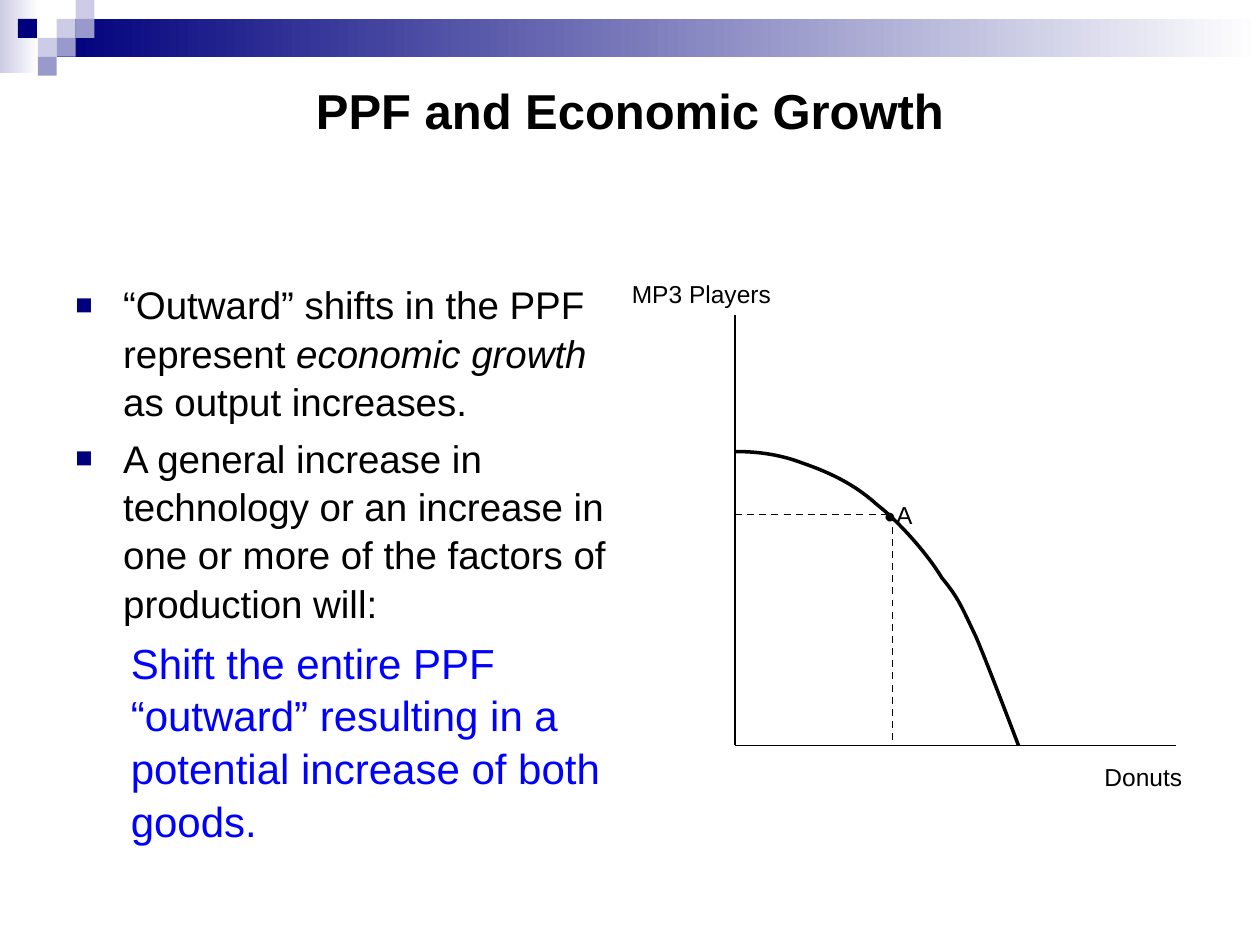
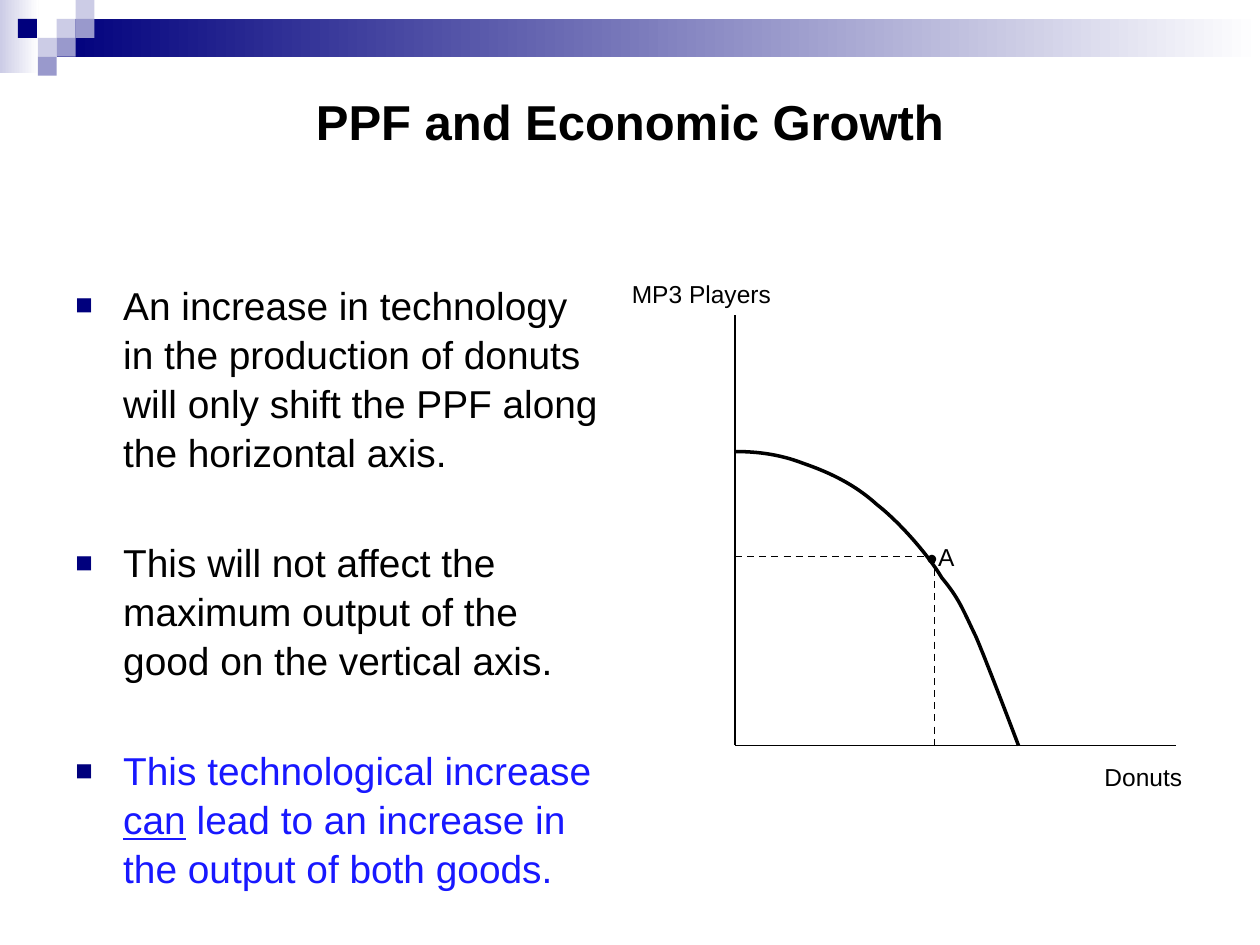
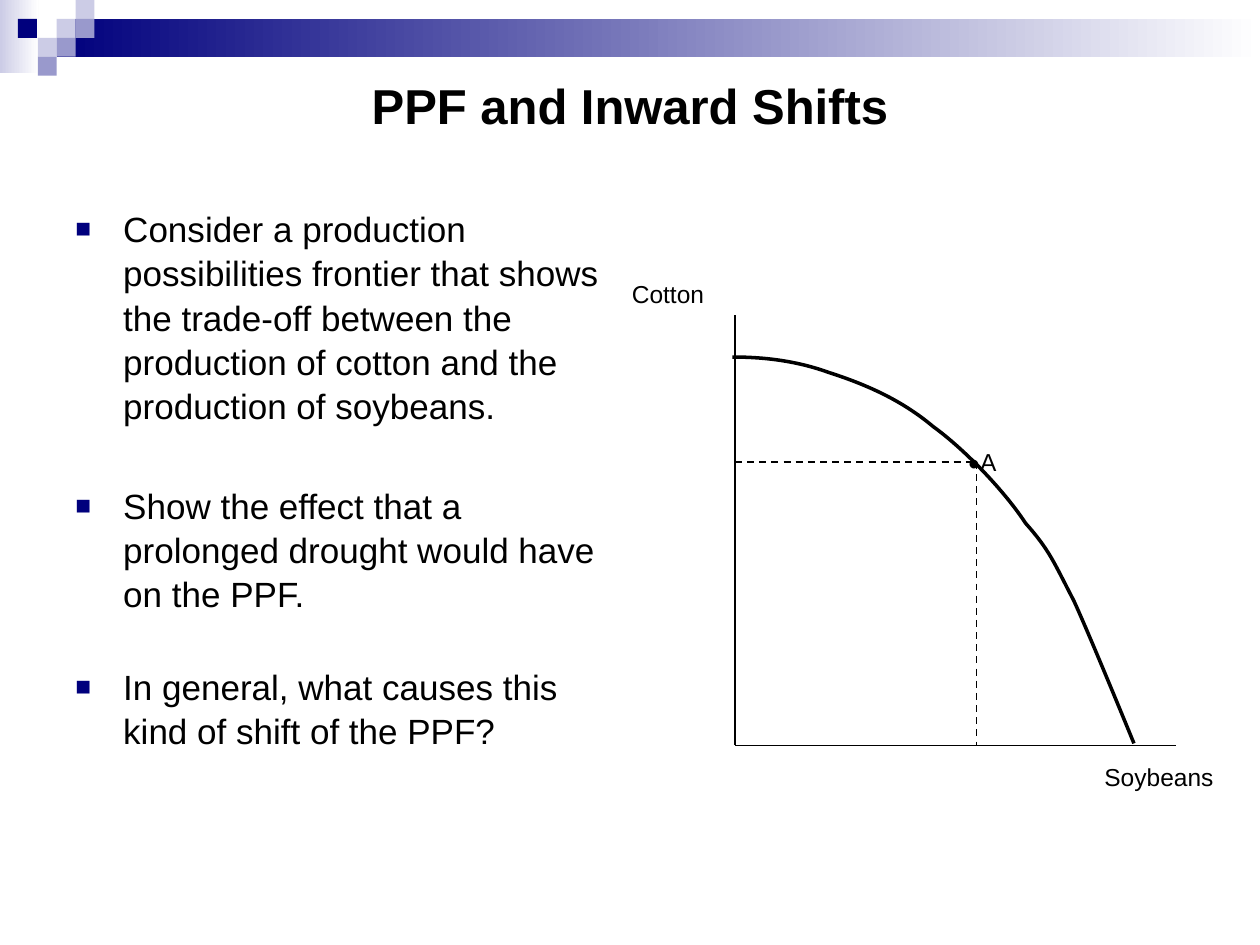
from lxml import etree
from pptx import Presentation
from pptx import util as u
from pptx.dml.color import RGBColor
from pptx.enum import dml, shapes, text
from pptx.oxml.ns import qn

BLACK, NAVY, LILAC, LAVENDER, WHITE = "000000", "00007D", "9999CC", "CCCCE6", "FFFFFF"
BLUE, BRIGHT_BLUE = "0000FF", "1818FF"


def rgb(value):
    return RGBColor.from_string(value)


def add_run(p, words, size, colour=BLACK, style=None, font="Arial"):
    r = p.add_run()
    r.text = words
    r.font.name, r.font.size = font, u.Pt(size)
    r.font.color.rgb = rgb(colour)
    if style:
        setattr(r.font, style, True)


prs = Presentation()
prs.slide_width, prs.slide_height = u.Inches(10), u.Inches(7.5)
cell = prs.slide_width // 120
square = prs.slide_width * 0.015
layout = prs.slide_layouts[5]

bands = [
    (0, 0, 2.05, 3.85, [LAVENDER, WHITE]),
    (3, 1, 63.67, 2, [NAVY, WHITE]),
    (3, 1, 1, 1, [LAVENDER]),
    (4, 0, 1, 1, [LAVENDER]),
    (4, 1, 1, 1, [LILAC]),
    (2, 2, 1, 1, [LAVENDER]),
    (0.95, 1, 1, 1, [NAVY]),
    (3, 2, 1, 1, [LILAC]),
    (2, 3, 1, 1, [LILAC]),
]

curve = [
    (0.08, 0), (0.16, 0.01), (0.24, 0.04),
    (0.33, 0.07), (0.42, 0.11), (0.5, 0.18),
    (0.58, 0.24), (0.68, 0.35), (0.73, 0.43),
    (0.79, 0.5), (0.8, 0.53), (0.85, 0.63),
    (0.89, 0.72), (1, 1), (1, 1),
]

slides = [
    {
        "title": "PPF and Economic Growth", "title_at": (6, 7, 108, 7),
        "body_at": (6, 26, 53, 51),
        "axes": ("MP3 Players", "Donuts"),
        "point": (85, 49), "frontier": (70, 43, 27, 28),
        "body": [
            (22, 0, True, [("“Outward” shifts in the PPF represent ", BLACK, None),
                           ("economic growth", BLACK, "italic"),
                           (" as output increases.", BLACK, None)]),
            (22, 4.4, True, [("A general increase in technology or an increase in one or more "
                              "of the factors of production will:", BLACK, None)]),
            (24, 4.8, False, [("Shift the entire PPF “outward” resulting in a potential "
                               "increase of both goods.", BLUE, None)]),
        ],
    },
    {
        "title": "PPF and Economic Growth", "title_at": (6, 6, 108, 11),
        "body_at": (6, 26, 53, 51),
        "axes": ("MP3 Players", "Donuts"),
        "point": (89, 53), "frontier": (70, 43, 27, 28),
        "body": [
            (22.2, 0, True, [("An increase in technology in the production of donuts will only "
                              "shift the PPF along the horizontal axis.", BLACK, None)]),
            (22.2, 35, True, [("This will not affect the maximum output of the good on the "
                               "vertical axis.", BLACK, None)]),
            (22.2, 35, True, [("This technological increase ", BRIGHT_BLUE, None),
                              ("can", BRIGHT_BLUE, "underline"),
                              (" lead to an increase in the output of both goods.",
                               BRIGHT_BLUE, None)]),
        ],
    },
    {
        "title": "PPF and Inward Shifts", "title_at": (6, 6, 108, 8),
        "body_at": (6, 19, 53, 58),
        "axes": ("Cotton", "Soybeans"),
        "point": (93, 44), "frontier": (69.75, 34, 38.25, 36.8),
        "body": [
            (20, 0, True, [("Consider a production possibilities frontier that shows the "
                            "trade-off between the production of cotton and the production "
                            "of soybeans.", BLACK, None)]),
            (20, 32, True, [("Show the effect that a prolonged drought would have on the PPF.",
                             BLACK, None)]),
            (20, 28, True, [("In general, what causes this kind of shift of the PPF?",
                             BLACK, None)]),
        ],
    },
]

for number, content in enumerate(slides):
    s = prs.slides.add_slide(layout)

    if number == 0:
        for i, (*box, colours) in enumerate(bands):
            sp = s.shapes.add_shape(shapes.MSO_SHAPE.RECTANGLE, *[round(v * square) for v in box])
            sp.shadow.inherit = False
            sp.line.fill.background()
            if len(colours) == 2:
                sp.fill.gradient()
                sp.fill.gradient_angle = 0
                for stop, colour in zip(sp.fill.gradient_stops, colours):
                    stop.color.rgb = rgb(colour)
            else:
                sp.fill.solid()
                sp.fill.fore_color.rgb = rgb(colours[0])
            sp.element.xpath(".//p:cNvPr")[0].set("id", str(100 + i))
            layout.shapes.element.insert(2 + i, sp.element)

    title = s.shapes.title
    title.left, title.top, title.width, title.height = [v * cell for v in content["title_at"]]
    tf = title.text_frame
    tf.vertical_anchor = text.MSO_ANCHOR.MIDDLE
    tf.paragraphs[0].alignment = text.PP_ALIGN.CENTER
    add_run(tf.paragraphs[0], content["title"], 28, style="bold")

    tf = s.shapes.add_textbox(*[v * cell for v in content["body_at"]]).text_frame
    tf.word_wrap = True
    for i, (size, gap, bulleted, runs) in enumerate(content["body"]):
        p = tf.add_paragraph() if i else tf.paragraphs[0]
        p.line_spacing, p.space_before = 1.05, u.Pt(gap)
        pPr = p._p.get_or_add_pPr()
        pPr.set("marL", str(u.Inches(0.38 if bulleted else 0.44)))
        pPr.set("indent", str(u.Inches(-0.38 if bulleted else 0)))
        if bulleted:
            colour = etree.SubElement(pPr, qn("a:buClr"))
            etree.SubElement(colour, qn("a:srgbClr"), val=NAVY)
            etree.SubElement(pPr, qn("a:buSzPct"), val="75000")
            etree.SubElement(pPr, qn("a:buFont"), typeface="Arial")
            etree.SubElement(pPr, qn("a:buChar"), char="■")
        for words, colour, style in runs:
            add_run(p, words, size, colour, style)

    x, y = content["point"]
    vertical, horizontal = content["axes"]
    labels = [
        (104, 72, 16, 4, [(horizontal, "Arial")]),
        (59, 26, 17, 4, [(vertical, "Arial")]),
        (x - 2, y - 2, 6, 4, [("•", "Calibri"), ("A", "Arial")]),
    ]
    for *box, runs in labels:
        tf = s.shapes.add_textbox(*[v * cell for v in box]).text_frame
        tf.word_wrap = True
        for words, font in runs:
            add_run(tf.paragraphs[0], words, 14, font=font)

    left, top, width, height = [v * cell for v in content["frontier"]]
    builder = s.shapes.build_freeform(round(left), round(top))
    builder.add_line_segments([(left + a * width, top + b * height) for a, b in curve], close=False)
    frontier = builder.convert_to_shape()
    frontier.shadow.inherit = False
    frontier.fill.background()
    frontier.line.color.rgb, frontier.line.width = rgb(BLACK), u.Pt(2)
    outline = frontier.element.xpath(".//a:path")[0]
    segments = frontier.element.xpath(".//a:lnTo")
    for i in range(0, len(segments), 3):
        bezier = etree.SubElement(outline, qn("a:cubicBezTo"))
        for segment in segments[i:i + 3]:
            bezier.append(segment[0])
            outline.remove(segment)

    lines = [
        (70, 30, 70, 71, False),
        (70, 71, 112, 71, False),
        (70, y, x, y, True),
        (x, y, x, 71, True),
    ]
    for *ends, dashed in lines:
        line = s.shapes.add_connector(shapes.MSO_CONNECTOR.STRAIGHT, *[v * cell for v in ends])
        line.line.color.rgb, line.line.width = rgb(BLACK), u.Pt(1)
        if dashed:
            line.line.dash_style = dml.MSO_LINE.DASH
        etree.SubElement(line.element.spPr, qn("a:effectLst"))

prs.save("out.pptx")
